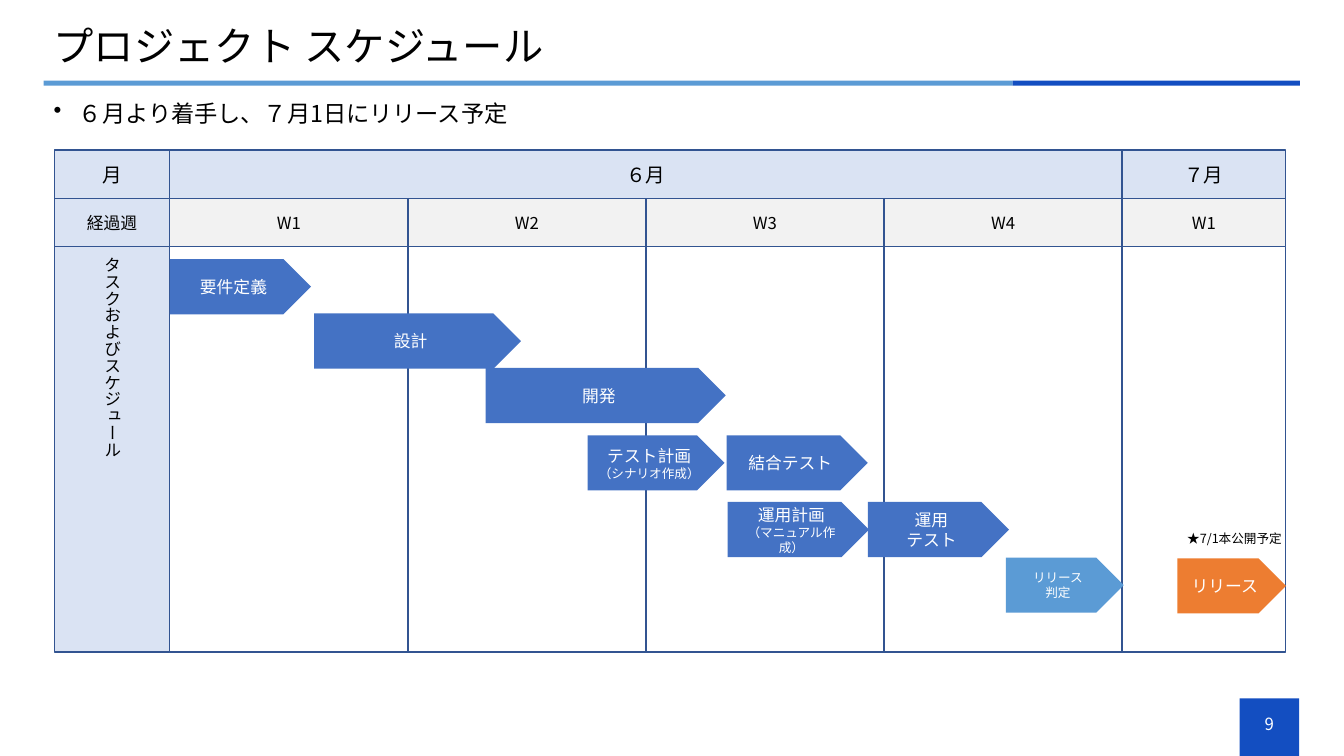
from dataclasses import dataclass

import pptx
import pptx.dml.color
import pptx.enum.shapes
import pptx.enum.text
import pptx.oxml
import pptx.oxml.ns
import pptx.shapes.autoshape
import pptx.slide
import pptx.text.text
import pptx.util
from pptx.dml.color import RGBColor
from pptx.util import Cm

BLACK = RGBColor(0, 0, 0)
WHITE = RGBColor(0xFF, 0xFF, 0xFF)
NAVY = RGBColor(0x13, 0x4E, 0xC1)
SKY = RGBColor(0x5B, 0x9B, 0xD5)
BLUE = RGBColor(0x44, 0x72, 0xC4)
AMBER = RGBColor(0xED, 0x7D, 0x31)
PALE = RGBColor(0xDA, 0xE3, 0xF3)
GREY = RGBColor(0xF2, 0xF2, 0xF2)
EDGE = RGBColor(0x32, 0x54, 0x91)
FONT = "Noto Sans CJK JP"

RECT = pptx.enum.shapes.MSO_SHAPE.RECTANGLE
ARROW = pptx.enum.shapes.MSO_SHAPE.PENTAGON
MIDDLE = pptx.enum.text.MSO_ANCHOR.MIDDLE
CENTER = pptx.enum.text.PP_ALIGN.CENTER


@dataclass
class Line:
    text: str
    size: float = 12


@dataclass
class Box:
    """A rectangle in centimetres."""
    left: float
    top: float
    width: float
    height: float

    def span(self) -> list[pptx.util.Length]:
        return [Cm(n) for n in (self.left, self.top, self.width, self.height)]


@dataclass
class Task:
    left: float
    top: float
    width: float
    lines: list[Line]
    fill: RGBColor = BLUE


def write(frame: pptx.text.text.TextFrame, lines: list[Line], color: RGBColor,
          align: pptx.enum.text.PP_ALIGN | None = CENTER) -> None:
    for i, line in enumerate(lines):
        para = frame.add_paragraph() if i else frame.paragraphs[0]
        para.text = line.text
        para.alignment = align
        font = para.font
        font.name, font.size = FONT, pptx.util.Pt(line.size)
        font.color.rgb = color
        # East Asian typeface
        latin = para._p.pPr.find(".//" + pptx.oxml.ns.qn("a:latin"))
        latin.addnext(pptx.oxml.parse_xml(
            f'<a:ea {pptx.oxml.ns.nsdecls("a")} typeface="{FONT}"/>'))


def shape(slide: pptx.slide.Slide, box: Box, fill: RGBColor,
          lines: list[Line] | None = None, kind: pptx.enum.shapes.MSO_SHAPE = RECT,
          edge: RGBColor | None = None, color: RGBColor = BLACK,
          ) -> pptx.shapes.autoshape.Shape:
    item = slide.shapes.add_shape(kind, *box.span())
    item.shadow.inherit = False
    item.fill.solid()
    item.fill.fore_color.rgb = fill
    if edge is None:
        item.line.fill.background()
    else:
        item.line.color.rgb = edge
        item.line.width = pptx.util.Pt(1)
    if lines:
        item.text_frame.vertical_anchor = MIDDLE
        write(item.text_frame, lines, color)
    return item


def label(slide: pptx.slide.Slide, box: Box, line: Line, color: RGBColor = BLACK,
          align: pptx.enum.text.PP_ALIGN | None = None,
          wrap: bool = True) -> pptx.text.text.TextFrame:
    frame = slide.shapes.add_textbox(*box.span()).text_frame
    frame.word_wrap = wrap
    write(frame, [line], color, align)
    return frame


def bullet(para: pptx.text.text._Paragraph, indent: float) -> None:
    props = para._p.pPr
    props.set("marL", str(Cm(indent)))
    props.set("indent", str(-Cm(indent)))
    props.find(pptx.oxml.ns.qn("a:defRPr")).addprevious(pptx.oxml.parse_xml(
        f'<a:buChar {pptx.oxml.ns.nsdecls("a")} char="•"/>'))


# Grid of the schedule
LEFT, SIDE, WEEK, LAST = 1.37, 2.91, 6.0, 4.12
TOP, ROW, BODY = 3.78, 1.22, 10.21
START = LEFT + SIDE
SECOND, THIRD = TOP + ROW, TOP + 2 * ROW
WEEKS = ["W1", "W2", "W3", "W4", "W1"]
JULY = START + 4 * WEEK

BAR = 1.39
TASKS = [
    Task(4.28, 6.53, 3.56, [Line("要件定義")]),
    Task(7.92, 7.9, 5.21, [Line("設計")]),
    Task(12.24, 9.27, 6.05, [Line("開発")]),
    Task(18.31, 10.97, 3.56, [Line("結合テスト")]),
    Task(14.81, 10.97, 3.45, [Line("テスト計画"), Line("（シナリオ作成）", 9)]),
    Task(25.35, 14.05, 2.97, [Line("リリース", 9), Line("判定", 9)], SKY),
    Task(21.87, 12.65, 3.56, [Line("運用"), Line("テスト")]),
    Task(29.67, 14.07, 2.74, [Line("リリース")], AMBER),
    Task(18.34, 12.65, 3.56, [Line("運用計画"), Line("（マニュアル作成）", 9)]),
]


def main() -> None:
    deck = pptx.Presentation()
    deck.slide_width, deck.slide_height = Cm(33.87), Cm(19.05)
    slide = deck.slides.add_slide(deck.slide_layouts[6])

    # Title, rule and summary
    shape(slide, Box(1.1, 2.03, 24.42, 0.13), SKY)
    shape(slide, Box(25.52, 2.03, 7.24, 0.13), NAVY)
    title = label(slide, Box(1.1, 0.53, 31.65, 1.4), Line("プロジェクト スケジュール", 28.8))
    title.vertical_anchor = MIDDLE
    title.paragraphs[0].line_spacing = 0.9
    note = label(slide, Box(1.1, 2.51, 31.65, 0.86),
                 Line("６月より着手し、７月1日にリリース予定", 16.6))
    note.paragraphs[0].line_spacing = 0.8
    note.paragraphs[0].space_before = pptx.util.Pt(10)
    bullet(note.paragraphs[0], 0.64)

    # Week columns
    for i, week in enumerate(WEEKS):
        left = START + i * WEEK
        width = LAST if left >= JULY else WEEK
        shape(slide, Box(left, THIRD, width, BODY), WHITE, edge=EDGE)
        shape(slide, Box(left, SECOND, width, ROW), GREY, [Line(week)], edge=EDGE)

    # Month row and side labels
    for left, width, month in [(LEFT, SIDE, "月"), (START, 4 * WEEK, "６月"),
                               (JULY, LAST, "７月")]:
        shape(slide, Box(left, TOP, width, ROW), PALE, [Line(month, 14)], edge=EDGE)
    shape(slide, Box(LEFT, SECOND, SIDE, ROW), PALE, [Line("経過週")], edge=EDGE)
    side = shape(slide, Box(LEFT, THIRD, SIDE, BODY), PALE,
                 [Line("タスクおよびスケジュール")], edge=EDGE)
    side.text_frame._txBody.bodyPr.set("vert", "eaVert")

    # Task arrows
    for task in TASKS:
        shape(slide, Box(task.left, task.top, task.width, BAR), task.fill,
              task.lines, ARROW, color=WHITE)
    label(slide, Box(29.67, 13.26, 3.1, 0.64), Line("★7/1本公開予定", 9), wrap=False)

    # Page number
    shape(slide, Box(31.24, 17.6, 1.5, 1.45), NAVY)
    page = label(slide, Box(31.24, 17.73, 1.5, 1.02), Line("9"), WHITE, CENTER)
    page.vertical_anchor = MIDDLE

    deck.save("out.pptx")


if __name__ == "__main__":
    main()
